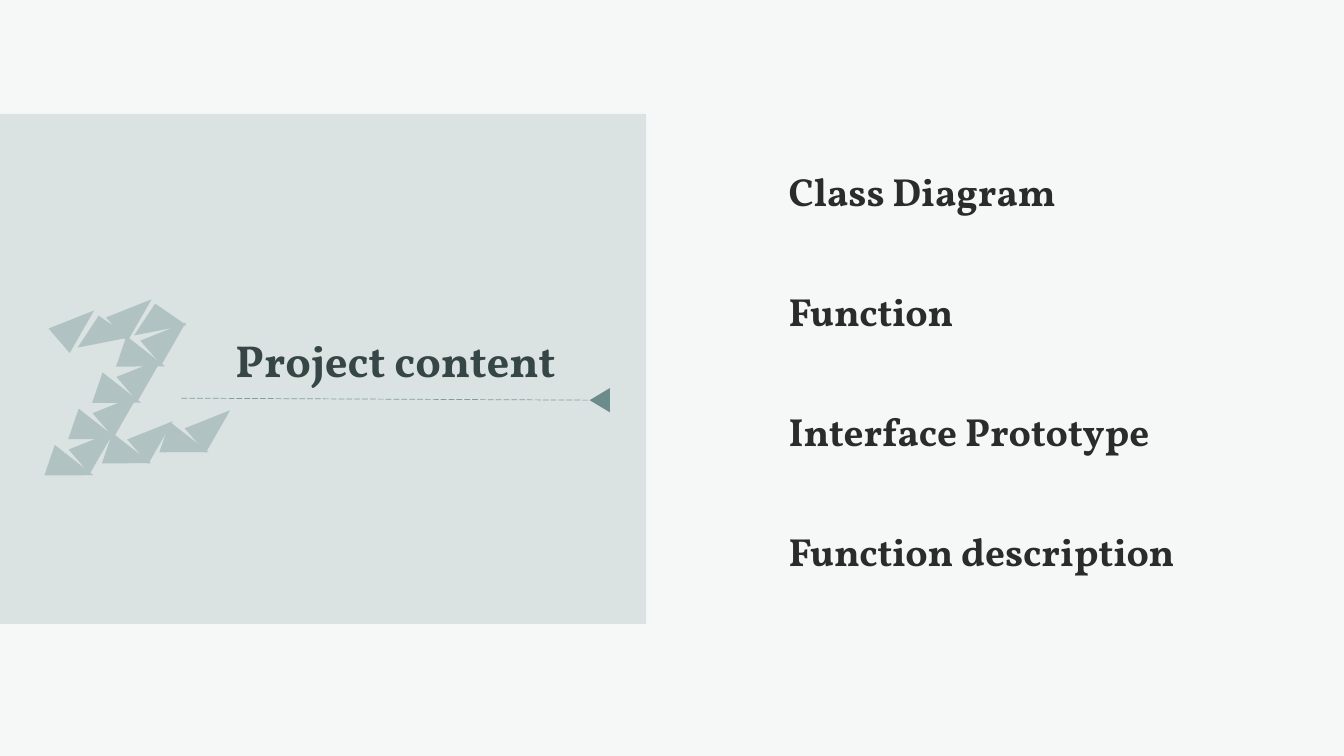
from lxml.etree import SubElement as Sub
from pptx import Presentation
from pptx.dml.color import RGBColor
from pptx.enum.dml import MSO_LINE as Dash
from pptx.enum.shapes import MSO_CONNECTOR as Conn, MSO_SHAPE as Kind
from pptx.enum.text import MSO_AUTO_SIZE as Fit, PP_ALIGN as Align
from pptx.oxml.ns import qn
from pptx.util import Inches, Pt

CELL = 0.1  # inches per grid column and row
COLS, ROWS = 133.33, 75


def cells(*nums):
    return [Inches(n * CELL) for n in nums]


def tint(code):
    return RGBColor.from_string(code)


class Deck:
    font = "Vollkorn"
    back, panel, shard = "F6F8F8", "DAE2E2", "B1C2C2"
    accent, title, ink = "6C8B8B", "364545", "2B2B2B"

    def __init__(self):
        self.file = Presentation()
        self.file.slide_width, self.file.slide_height = cells(COLS, ROWS)
        self.slide = self.file.slides.add_slide(self.file.slide_layouts[6])
        fill = self.slide.background.fill
        fill.solid()
        fill.fore_color.rgb = tint(self.back)

    def shape(self, kind, box, color, turn=0):
        item = self.slide.shapes.add_shape(kind, *cells(*box))
        item.shadow.inherit = False
        item.fill.solid()
        item.fill.fore_color.rgb = tint(color)
        item.line.fill.background()
        item.rotation = turn

    def text(self, words, box, size, color, align=Align.LEFT):
        frame = self.slide.shapes.add_textbox(*cells(*box)).text_frame
        frame.word_wrap = True
        frame.auto_size = Fit.SHAPE_TO_FIT_TEXT
        para = frame.paragraphs[0]
        para.alignment = align
        run = para.add_run()
        run.text = words
        font = run.font
        font.name, font.size, font.bold = self.font, Pt(size), True
        font.color.rgb = tint(color)

    def line(self, ends, color, width, alpha):
        item = self.slide.shapes.add_connector(Conn.STRAIGHT, *cells(*ends))
        item.line.color.rgb = tint(color)
        item.line.width = Pt(width)
        item.line.dash_style = Dash.LONG_DASH
        props = item.element.spPr
        shade = next(props.iter(qn("a:srgbClr")))
        Sub(shade, qn("a:alpha")).set("val", str(alpha * 1000))
        Sub(props, qn("a:effectLst"))


def main():
    deck = Deck()

    # Left panel with its title
    deck.shape(Kind.RECTANGLE, (0, 11.3, 64.1, 50.6), deck.panel)
    deck.text("Project content", (16.1, 32.5, 46.3, 6.4), 32,
              deck.title, Align.CENTER)

    # Dashed rule ending in a pointer
    deck.line((18, 39.5, 58.5, 39.7), deck.accent, 0.5, 80)
    deck.shape(Kind.ISOSCELES_TRIANGLE, (58.3, 38.7, 2.4, 2), deck.accent, 270)

    # Figure two made of shards: wide, rising and falling
    wide, tall = (5.3, 2.7), (3.2, 4.6)
    rise, fall = 49.1, 108.9
    stem = [(15.1 - 2.37 * i, 31.2 + 3.6 * i, tall, rise) for i in range(4)]
    stem += [(12.6 - 2.37 * i, 33.3 + 3.6 * i, tall, fall) for i in range(4)]
    top = [(7.4, 31.3, wide, 349), (13, 30.1, wide, 349),
           (11.7, 28.9, tall, rise), (6, 30, tall, rise)]
    foot = [(11.2, 42.9, tall, fall), (13.8, 41, tall, rise),
            (16.9, 41.8, tall, fall), (19.5, 39.9, tall, rise)]
    for left, high, size, turn in top + stem + foot:
        deck.shape(Kind.ISOSCELES_TRIANGLE, (left, high, *size),
                   deck.shard, turn)

    # Topics on the right
    topics = ("Class Diagram", "Function", "Interface Prototype",
              "Function description")
    for i, topic in enumerate(topics):
        deck.text(topic, (77.25, 16.1 + 11.9 * i, 51.6, 5.7), 28, deck.ink)

    deck.file.save("out.pptx")


if __name__ == "__main__":
    main()
